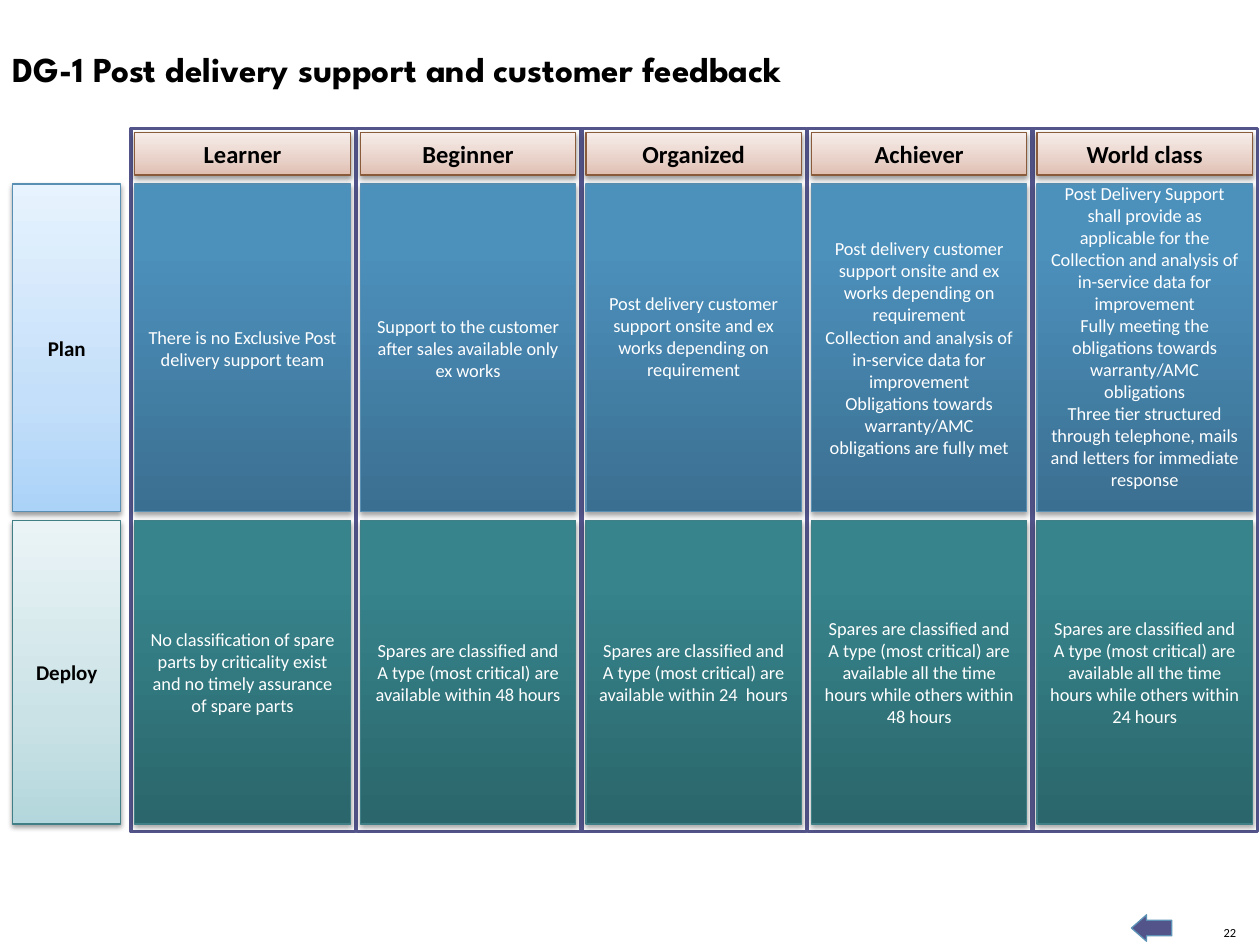
"""Build the maturity grid for post delivery support and customer feedback."""
from lxml.etree import SubElement
from pptx import Presentation
from pptx.dml.color import RGBColor
from pptx.enum.shapes import MSO_SHAPE
from pptx.enum.text import MSO_ANCHOR, PP_ALIGN
from pptx.oxml.ns import qn
from pptx.util import Inches, Pt

BLACK = RGBColor(0x00, 0x00, 0x00)
WHITE = RGBColor(0xFF, 0xFF, 0xFF)
INDIGO = RGBColor(0x53, 0x54, 0x8A)
STEEL = RGBColor(0x58, 0x8F, 0xB3)
TEAL = RGBColor(0x40, 0x7F, 0x85)
BROWN = RGBColor(0x8A, 0x5B, 0x3A)
SKY = RGBColor(0x5C, 0x92, 0xB5)

PEACH = [(0, "E0BEB0"), (35, "E8D1C8"), (100, "F7EDEA")]
ICE = [(0, "ABD3F8"), (35, "C4DFF9"), (100, "E7F3FE")]
MINT = [(0, "B3D7DC"), (35, "CAE2E6"), (100, "EAF4F6")]
BLUE = [(0, "3B6F91"), (80, "4C90BC"), (100, "4A91BF")]
GREEN = [(0, "2A666B"), (80, "37848C"), (100, "36868E")]

HEADS = ["Learner", "Beginner", "Organized", "Achiever", "World class"]
PLAN = [
    "There is no Exclusive Post delivery support team",
    "Support to the customer after sales available only ex works",
    "Post delivery customer support onsite and ex works depending on requirement",
    "Post delivery customer support onsite and ex works depending on requirement\n"
    "Collection and analysis of in-service data for improvement\n"
    "Obligations towards warranty/AMC obligations are fully met",
    "Post Delivery Support shall provide as applicable for the\n"
    "Collection and analysis of in-service data for improvement\n"
    "Fully meeting the obligations towards warranty/AMC obligations\n"
    "Three tier structured through telephone, mails and letters for immediate response",
]
DEPLOY = [
    "No classification of spare parts by criticality exist and no timely "
    "assurance of spare parts",
    "Spares are classified and A type (most critical) are available within 48 hours",
    "Spares are classified and A type (most critical) are available within 24  hours",
    "Spares are classified and A type (most critical) are available all the time "
    "hours while others within 48 hours",
    "Spares are classified and A type (most critical) are available all the time "
    "hours while others within 24 hours",
]
ROWS = [
    ("Plan", PLAN, 1.46, 2.6, ICE, BLUE, STEEL, {2: 0.23, 4: 0.23}),
    ("Deploy", DEPLOY, 4.13, 2.41, MINT, GREEN, TEAL, {}),
]
LEFT, STEP, WIDE = 1.04, 1.79, 1.71


def write(shape, text, size=10.5, color=WHITE, bold=False, font="Calibri",
          align=PP_ALIGN.CENTER, anchor=MSO_ANCHOR.MIDDLE, wrap=True, foot=0.05):
    frame = shape.text_frame
    frame.text = text
    frame.word_wrap = wrap
    frame.vertical_anchor = anchor
    frame.margin_bottom = Inches(foot)
    for para in frame.paragraphs:
        para.alignment = align
        for run in para.runs:
            run.font.size = Pt(size)
            run.font.name = font
            run.font.bold = bold
            run.font.color.rgb = color


def box(left, top, width, height, fill, edge, weight=0.75, kind=MSO_SHAPE.RECTANGLE, shade=0):
    shape = slide.shapes.add_shape(
        kind, Inches(left), Inches(top), Inches(width), Inches(height))
    shape.line.color.rgb = edge
    shape.line.width = Pt(weight)
    shape.shadow.inherit = False
    if isinstance(fill, RGBColor):
        shape.fill.solid()
        shape.fill.fore_color.rgb = fill
    else:
        shape.fill.gradient()
        shape.fill.gradient_angle = 90
        stops = shape.element.find(".//" + qn("a:gsLst"))
        stops.clear()
        for place, tone in fill:
            stop = SubElement(stops, qn("a:gs"), pos=str(place * 1000))
            SubElement(stop, qn("a:srgbClr"), val=tone)
    if shade:
        glow = SubElement(
            shape.element.spPr.find(qn("a:effectLst")), qn("a:outerShdw"),
            blurRad=str(Pt(3.1)), dist=str(Pt(1.7)), dir="5400000", rotWithShape="0")
        tint = SubElement(glow, qn("a:srgbClr"), val="000000")
        SubElement(tint, qn("a:alpha"), val=str(shade * 1000))
    return shape


deck = Presentation()
deck.slide_width, deck.slide_height = Inches(10), Inches(7.5)
slide = deck.slides.add_slide(deck.slide_layouts[6])

page = slide.shapes.add_textbox(Inches(9.69), Inches(7.34), Inches(0.12), Inches(0.12))
frame = page.text_frame
frame.margin_left = frame.margin_right = frame.margin_top = 0
write(page, "22", size=7.1, color=BLACK, align=PP_ALIGN.RIGHT,
      anchor=MSO_ANCHOR.BOTTOM, wrap=False, foot=0)

arrow = box(8.98, 7.26, 0.32, 0.21, INDIGO, SKY, kind=MSO_SHAPE.RIGHT_ARROW)
arrow.rotation = 180
arrow.adjustments[0], arrow.adjustments[1] = 0.59, 0.57

title = slide.shapes.add_textbox(Inches(0), Inches(0.33), Inches(8.6), Inches(0.44))
write(title, "DG-1 Post delivery support and customer feedback", size=20, color=BLACK,
      bold=True, font="League Spartan", align=PP_ALIGN.LEFT, anchor=MSO_ANCHOR.TOP)

for col in range(len(HEADS)):
    box(LEFT + col * STEP, 1.02, 1.78, 5.58, WHITE, INDIGO, weight=2)

for name, cells, top, high, pale, deep, edge, feet in ROWS:
    label = box(0.1, top, 0.86, high, pale, edge, shade=38)
    write(label, name, size=12, color=BLACK, bold=True)
    for col, text in enumerate(cells):
        cell = box(LEFT + 0.03 + col * STEP, top, WIDE, high, deep, edge, shade=35)
        write(cell, text, foot=feet.get(col, 0.05))

for col, text in enumerate(HEADS):
    head = box(LEFT + 0.03 + col * STEP, 1.05, WIDE, 0.34, PEACH, BROWN, shade=38)
    write(head, text, size=14, color=BLACK, bold=True)

deck.save("out.pptx")
